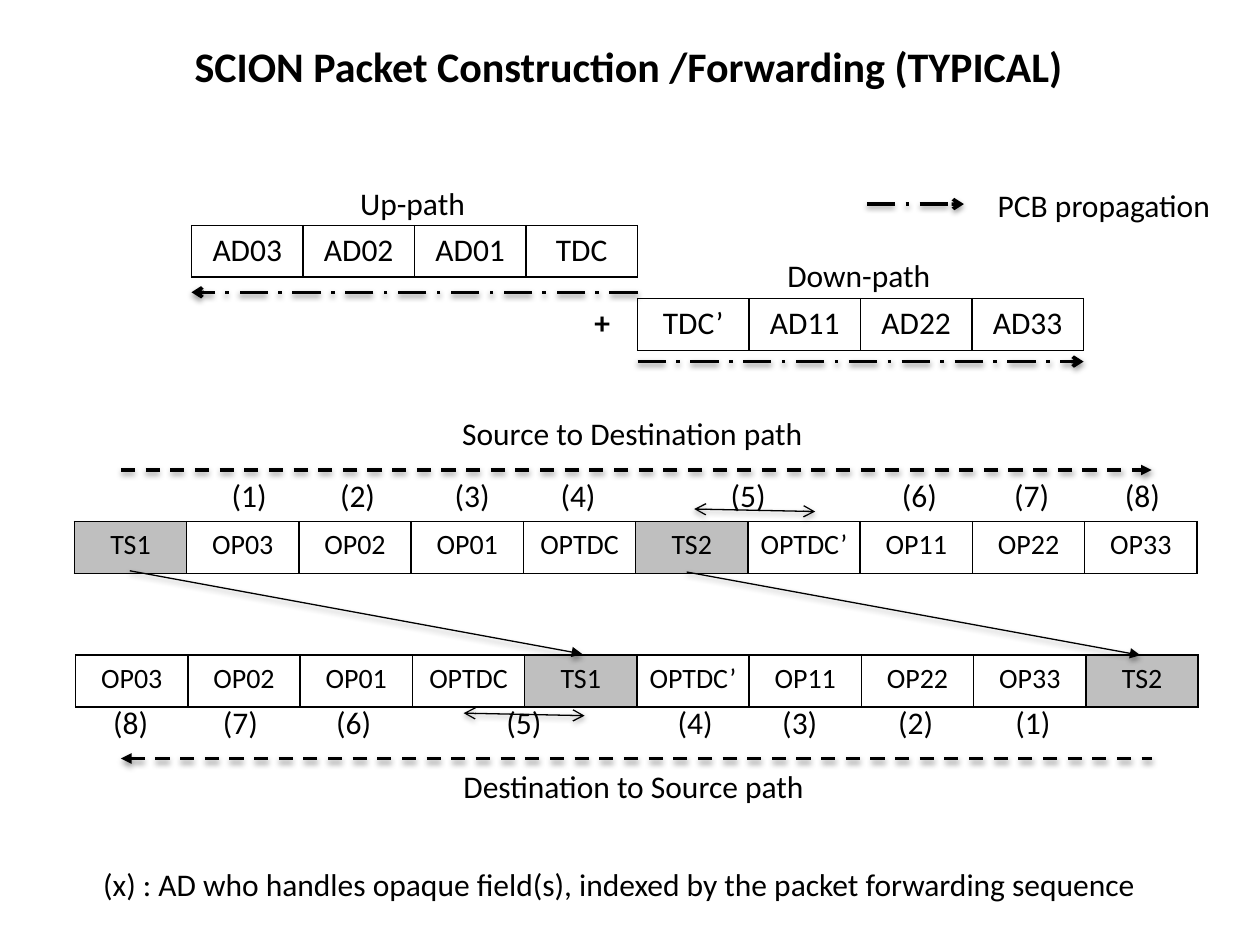
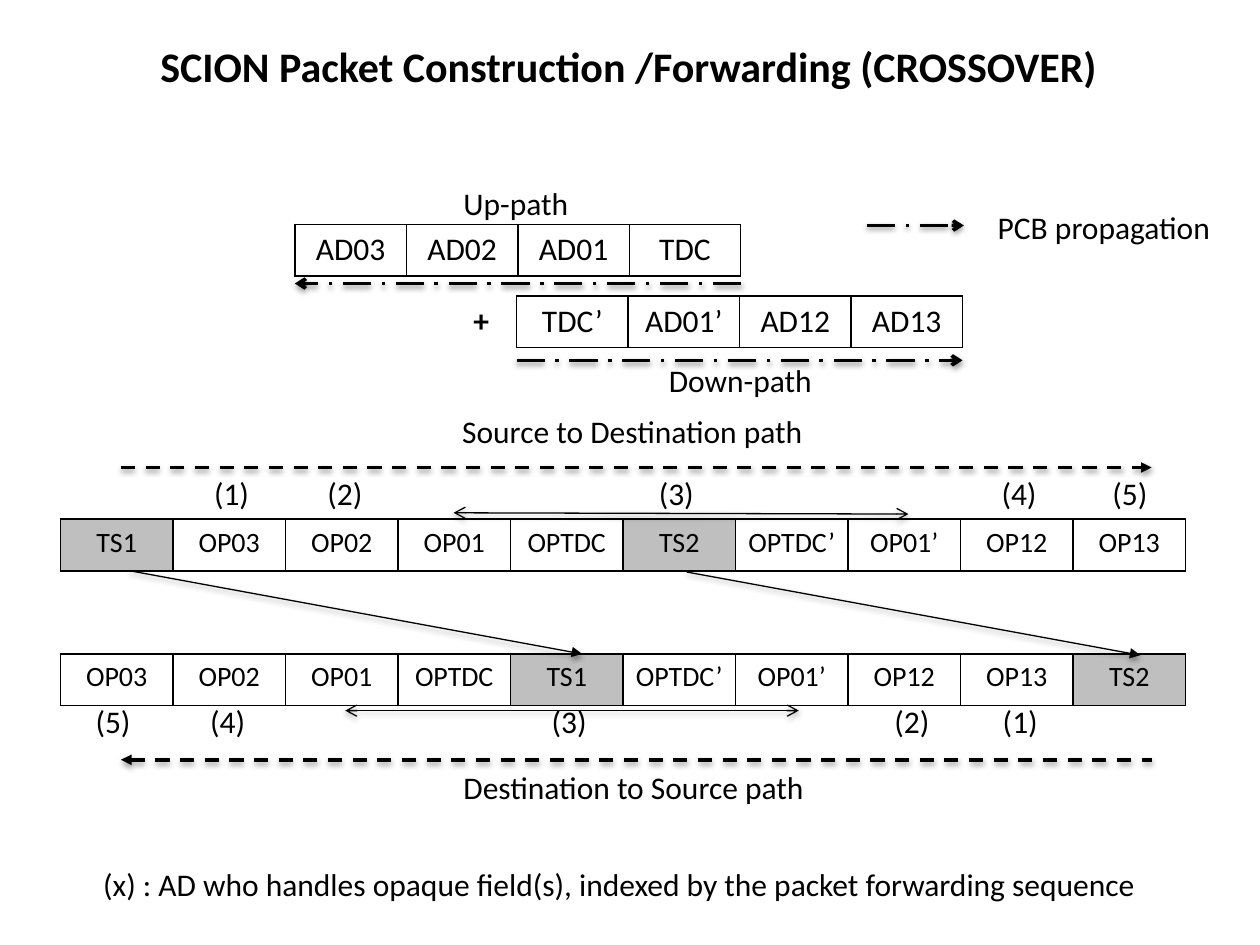
from dataclasses import dataclass

from lxml.etree import SubElement
from pptx import Presentation
from pptx.dml.color import RGBColor
from pptx.enum.dml import MSO_LINE
from pptx.enum.shapes import MSO_CONNECTOR
from pptx.enum.text import MSO_AUTO_SIZE, PP_ALIGN
from pptx.oxml import parse_xml
from pptx.oxml.ns import nsdecls, qn
from pptx.util import Inches, Pt

COLOURS = {"ink": "000000", "stamp": "BFBFBF"}
FONT = "Calibri"
ROW_HEIGHT = 0.41
LABEL_HEIGHT = 0.4
SEGMENT_WIDTH = 3.54
ROUTE_LEFT, ROUTE_RIGHT = 0.96, 9.14

BODY = {"size": Pt(18), "bold": False}
STRONG = {"size": Pt(18), "bold": True}
TITLE = {"size": Pt(24), "bold": True}
FIELD = {"size": Pt(16), "bold": False}

PROPAGATION = {"width": Pt(2), "dash_style": MSO_LINE.LONG_DASH_DOT}
ROUTE = {"width": Pt(2), "dash_style": MSO_LINE.DASH}
THIN = {"width": Pt(0.75)}

SHADOW = (
    f'<a:effectLst {nsdecls("a")}>'
    '<a:outerShdw blurRad="40000" dist="20000" dir="5400000" rotWithShape="0">'
    f'<a:srgbClr val="{COLOURS["ink"]}"><a:alpha val="38000"/></a:srgbClr>'
    "</a:outerShdw></a:effectLst>"
)


@dataclass
class Segment:
    caption: str
    names: list
    left: float
    top: float
    caption_offset: tuple
    arrow_offset: float
    reverse: bool = False


@dataclass
class Packet:
    names: list
    left: float
    top: float
    width: float
    indexes: dict
    index_offset: float
    shared_span: tuple
    caption: str
    caption_at: tuple
    route_top: float
    ends: dict


@dataclass
class Scenario:
    title: str
    title_width: float
    legend_top: float
    plus_at: tuple
    segments: list
    packets: list


def colour(name):
    return RGBColor.from_string(COLOURS[name])


def apply_format(target, values):
    for name, value in values.items():
        setattr(target, name, value)


def write_text(frame, text, style, alignment):
    para = frame.paragraphs[0]
    para.alignment = alignment
    span = para.add_run()
    span.text = text
    apply_format(span.font, {"name": FONT, **style})
    span.font.color.rgb = colour("ink")


def add_label(shapes, left, top, width, text, style=BODY,
              alignment=PP_ALIGN.LEFT, height=LABEL_HEIGHT):
    box = shapes.add_textbox(Inches(left), Inches(top), Inches(width), Inches(height))
    write_text(box.text_frame, text, style, alignment)
    apply_format(box.text_frame, {
        "word_wrap": False, "auto_size": MSO_AUTO_SIZE.SHAPE_TO_FIT_TEXT})


def add_arrow(page, start, end, style, **ends):
    points = [Inches(value) for value in (*start, *end)]
    arrow = page.shapes.add_connector(MSO_CONNECTOR.STRAIGHT, *points)
    arrow.line.color.rgb = colour("ink")
    apply_format(arrow.line, style)
    outline = arrow.line._get_or_add_ln()
    for side in ("head", "tail"):
        if side in ends:
            SubElement(outline, qn(f"a:{side}End"), type=ends[side])
    arrow._element.spPr.append(parse_xml(SHADOW))


def add_borders(cell):
    properties = cell._tc.get_or_add_tcPr()
    for index, side in enumerate(("lnL", "lnR", "lnT", "lnB")):
        border = parse_xml(
            f'<a:{side} {nsdecls("a")} w="12700"><a:solidFill>'
            f'<a:srgbClr val="{COLOURS["ink"]}"/></a:solidFill></a:{side}>')
        properties.insert(index, border)


def add_fields(page, left, top, width, names, style):
    frame = page.shapes.add_table(
        1, len(names), Inches(left), Inches(top), Inches(width), Inches(ROW_HEIGHT))
    table = frame.table
    apply_format(table, {"first_row": False, "horz_banding": False})
    for column, name in enumerate(names):
        table.columns[column].width = Inches(width / len(names))
        cell = table.cell(0, column)
        write_text(cell.text_frame, name, style, PP_ALIGN.CENTER)
        if name.startswith("TS"):
            cell.fill.solid()
            cell.fill.fore_color.rgb = colour("stamp")
        else:
            cell.fill.background()
        add_borders(cell)


def add_segment(page, segment):
    left, top = segment.left, segment.top
    add_fields(page, left, top, SEGMENT_WIDTH, segment.names, BODY)
    across, down = segment.caption_offset
    add_label(page.shapes, left + across, top + down,
              1.04 if segment.reverse else 1.35, segment.caption)
    arrow_top = top + segment.arrow_offset
    points = [(left, arrow_top), (left + SEGMENT_WIDTH, arrow_top)]
    if segment.reverse:
        points.reverse()
    add_arrow(page, *points, PROPAGATION, tail="arrow")


def add_packet(page, packet):
    add_fields(page, packet.left, packet.top, packet.width, packet.names, FIELD)
    add_arrow(page, (ROUTE_LEFT, packet.route_top), (ROUTE_RIGHT, packet.route_top),
              ROUTE, **packet.ends)
    add_label(page.shapes, *packet.caption_at, 2.94, packet.caption)
    group = page.shapes.add_group_shape()
    for number, left in packet.indexes.items():
        add_label(group.shapes, left, packet.top + packet.index_offset, 0.48, f"({number})")
    add_arrow(page, *packet.shared_span, THIN, head="arrow", tail="arrow")


def add_legend(page, top):
    add_arrow(page, (6.88, top), (7.65, top), PROPAGATION, tail="arrow")
    add_label(page.shapes, 7.82, top - 0.19, 1.91, "PCB propagation")


def add_scenario(deck, scenario):
    page = deck.slides.add_slide(deck.slide_layouts[6])
    width = scenario.title_width
    add_label(page.shapes, 4.99 - width / 2, 0.27, width, scenario.title,
              TITLE, PP_ALIGN.CENTER, 0.5)
    for segment in scenario.segments:
        add_segment(page, segment)
    add_label(page.shapes, *scenario.plus_at, 0.33, "+", STRONG)
    add_legend(page, scenario.legend_top)
    for packet in scenario.packets:
        add_packet(page, packet)
    for start, end in (((5.45, 4.54), (9.05, 5.2)), ((1.03, 4.53), (4.62, 5.19))):
        add_arrow(page, start, end, THIN, tail="triangle")
    add_label(page.shapes, 0.72, 6.82, 8.51,
              "(x) : AD who handles opaque field(s), indexed by the packet forwarding sequence")


def outbound(top, **values):
    return Packet(top=top, index_offset=-0.41, caption="Source to Destination path",
                  caption_at=(3.57, top - 0.9), route_top=top - 0.41,
                  ends={"tail": "triangle"}, **values)


def inbound(top, route_top, **values):
    return Packet(top=top, index_offset=0.33, caption="Destination to Source path",
                  caption_at=(3.58, route_top + 0.02), route_top=route_top,
                  ends={"head": "triangle"}, **values)


UP_NAMES = ["AD03", "AD02", "AD01", "TDC"]
UP_FIELDS = ["OP03", "OP02", "OP01", "OPTDC"]
TYPICAL_FIELDS = ["OPTDC’", "OP11", "OP22", "OP33"]
CROSSOVER_FIELDS = ["OPTDC’", "OP01’", "OP12", "OP13"]

SCENARIOS = [
    Scenario(
        title="SCION Packet Construction /Forwarding (TYPICAL)",
        title_width=7.16, legend_top=1.62, plus_at=(4.62, 2.36),
        segments=[
            Segment("Up-path", UP_NAMES, 1.52, 1.79, (1.24, -0.38), 0.53, True),
            Segment("Down-path", ["TDC’", "AD11", "AD22", "AD33"],
                    5.06, 2.37, (1.09, -0.39), 0.5),
        ],
        packets=[
            outbound(4.14, left=0.59, width=8.91,
                     names=["TS1", *UP_FIELDS, "TS2", *TYPICAL_FIELDS],
                     indexes={1: 1.74, 2: 2.6, 3: 3.51, 4: 4.35,
                              5: 5.7, 6: 7.06, 7: 7.95, 8: 8.83},
                     shared_span=((5.51, 4.04), (6.47, 4.06))),
            inbound(5.2, 6.02, left=0.6, width=8.91,
                    names=[*UP_FIELDS, "TS1", *TYPICAL_FIELDS, "TS2"],
                    indexes={1: 7.96, 2: 7.03, 3: 6.11, 4: 5.28,
                             5: 3.92, 6: 2.57, 7: 1.67, 8: 0.8},
                    shared_span=((3.68, 5.66), (4.64, 5.68))),
        ],
    ),
    Scenario(
        title="SCION Packet Construction /Forwarding (CROSSOVER)",
        title_width=7.71, legend_top=1.79, plus_at=(3.66, 2.34),
        segments=[
            Segment("Up-path", UP_NAMES, 2.34, 1.78, (1.24, -0.37), 0.47, True),
            Segment("Down-path", ["TDC’", "AD01’", "AD12", "AD13"],
                    4.1, 2.35, (1.11, 0.47), 0.51),
        ],
        packets=[
            outbound(4.12, left=0.48, width=8.93,
                     names=["TS1", *UP_FIELDS, "TS2", *CROSSOVER_FIELDS],
                     indexes={1: 1.6, 2: 2.5, 3: 5.13, 4: 7.85, 5: 8.73},
                     shared_span=((3.6, 4.07), (7.21, 4.08))),
            inbound(5.19, 6.03, left=0.48, width=8.93,
                    names=[*UP_FIELDS, "TS1", *CROSSOVER_FIELDS, "TS2"],
                    indexes={5: 0.66, 4: 1.57, 3: 4.28, 2: 7, 1: 7.86},
                    shared_span=((2.74, 5.64), (6.34, 5.64))),
        ],
    ),
]

deck = Presentation()
apply_format(deck, {"slide_width": Inches(10), "slide_height": Inches(7.5)})
for scenario in SCENARIOS:
    add_scenario(deck, scenario)
deck.save("out.pptx")
